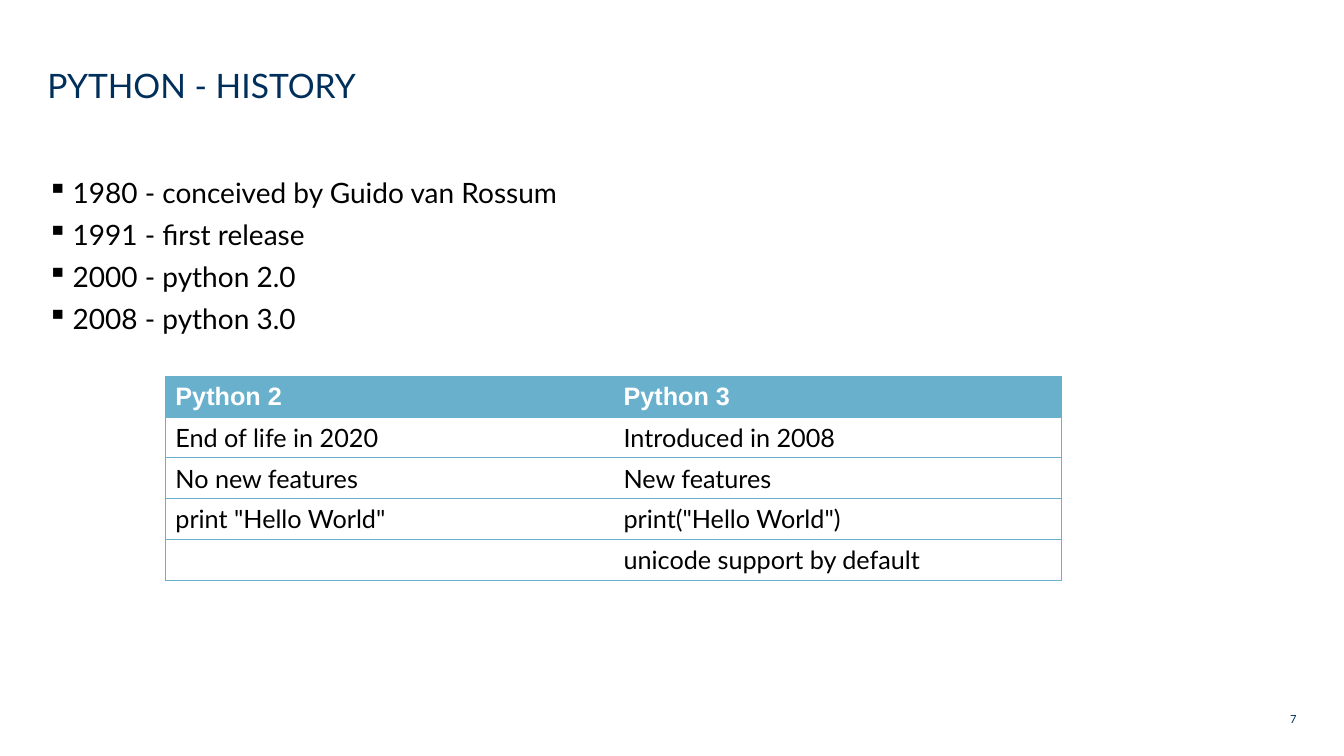
from lxml import etree
from pptx import Presentation
from pptx.dml.color import RGBColor
from pptx.enum.text import MSO_ANCHOR as Anchor, PP_ALIGN as Align
from pptx.oxml.ns import qn
from pptx.util import Inches, Pt

COLORS = {"navy": "002F5B", "black": "000000", "white": "FFFFFF", "blue": "69B0CC"}
MILESTONES = [
    "1980 - conceived by Guido van Rossum",
    "1991 - first release",
    "2000 - python 2.0",
    "2008 - python 3.0",
]
VERSIONS = [
    ("Python 2", "Python 3"),
    ("End of life in 2020", "Introduced in 2008"),
    ("No new features", "New features"),
    ('print "Hello World"', 'print("Hello World")'),
    ("", "unicode support by default"),
]


def write(paragraph, text, size, color="black", font="Lato", bold=False, align=Align.LEFT):
    paragraph.alignment = align
    run = paragraph.add_run()
    run.text = text
    run.font.size = Pt(size)
    run.font.name = font
    run.font.bold = bold
    run.font.color.rgb = RGBColor.from_string(COLORS[color])


def add_text_frame(slide, left, top, width, height, anchor=Anchor.TOP):
    """Add a wrapping text box without insets and return its text frame."""
    box = slide.shapes.add_textbox(Inches(left), Inches(top), Inches(width), Inches(height))
    frame = box.text_frame
    frame.word_wrap = True
    frame.vertical_anchor = anchor
    frame.margin_left = frame.margin_right = frame.margin_top = frame.margin_bottom = 0
    return frame


def add_bullet(paragraph, indent):
    properties = paragraph._p.get_or_add_pPr()
    properties.set("marL", str(Inches(indent)))
    properties.set("indent", str(-Inches(indent)))
    etree.SubElement(properties, qn("a:buChar"), char="▪")


def add_bullet_list(frame, items):
    for index, item in enumerate(items):
        paragraph = frame.add_paragraph() if index else frame.paragraphs[0]
        paragraph.space_before = Pt(6)
        write(paragraph, item, 20)
        add_bullet(paragraph, 0.25)


def set_borders(cell, sides):
    """Draw thin borders on the named sides (L, R, T, B) and none on the others."""
    properties = cell._tc.get_or_add_tcPr()
    for index, side in enumerate("LRTB"):
        line = etree.Element(qn(f"a:ln{side}"), w=str(Pt(0.5)))
        if side in sides:
            fill = etree.SubElement(line, qn("a:solidFill"))
            etree.SubElement(fill, qn("a:srgbClr"), val=COLORS["blue"])
        else:
            etree.SubElement(line, qn("a:noFill"))
        properties.insert(index, line)


def add_version_table(slide, rows):
    table = slide.shapes.add_table(
        len(rows), 2, Inches(1.64), Inches(3.73), Inches(8.89), Inches(2.03)
    ).table
    for row_index, row in enumerate(rows):
        header = row_index == 0
        for column_index, text in enumerate(row):
            cell = table.cell(row_index, column_index)
            cell.vertical_anchor = Anchor.MIDDLE
            cell.fill.solid()
            cell.fill.fore_color.rgb = RGBColor.from_string(COLORS["blue" if header else "white"])
            set_borders(cell, "TBR" if column_index else "TBL")
            if text:
                write(
                    cell.text_frame.paragraphs[0], text, 18,
                    color="white" if header else "black",
                    font="Arial" if header else "Lato",
                    bold=header,
                )


def main():
    presentation = Presentation()
    presentation.slide_width = Inches(13.33)
    presentation.slide_height = Inches(7.5)
    slide = presentation.slides.add_slide(presentation.slide_layouts[6])

    title = add_text_frame(slide, 0.47, 0.69, 11.23, 0.9).paragraphs[0]
    title.line_spacing = 0.9
    write(title, "PYTHON - HISTORY", 24, color="navy")

    add_bullet_list(add_text_frame(slide, 0.47, 1.74, 12.39, 4.87), MILESTONES)

    number = add_text_frame(slide, 12.43, 7.03, 0.43, 0.21, anchor=Anchor.MIDDLE)
    write(number.paragraphs[0], "7", 8, color="navy", align=Align.RIGHT)

    add_version_table(slide, VERSIONS)
    presentation.save("out.pptx")


if __name__ == "__main__":
    main()
